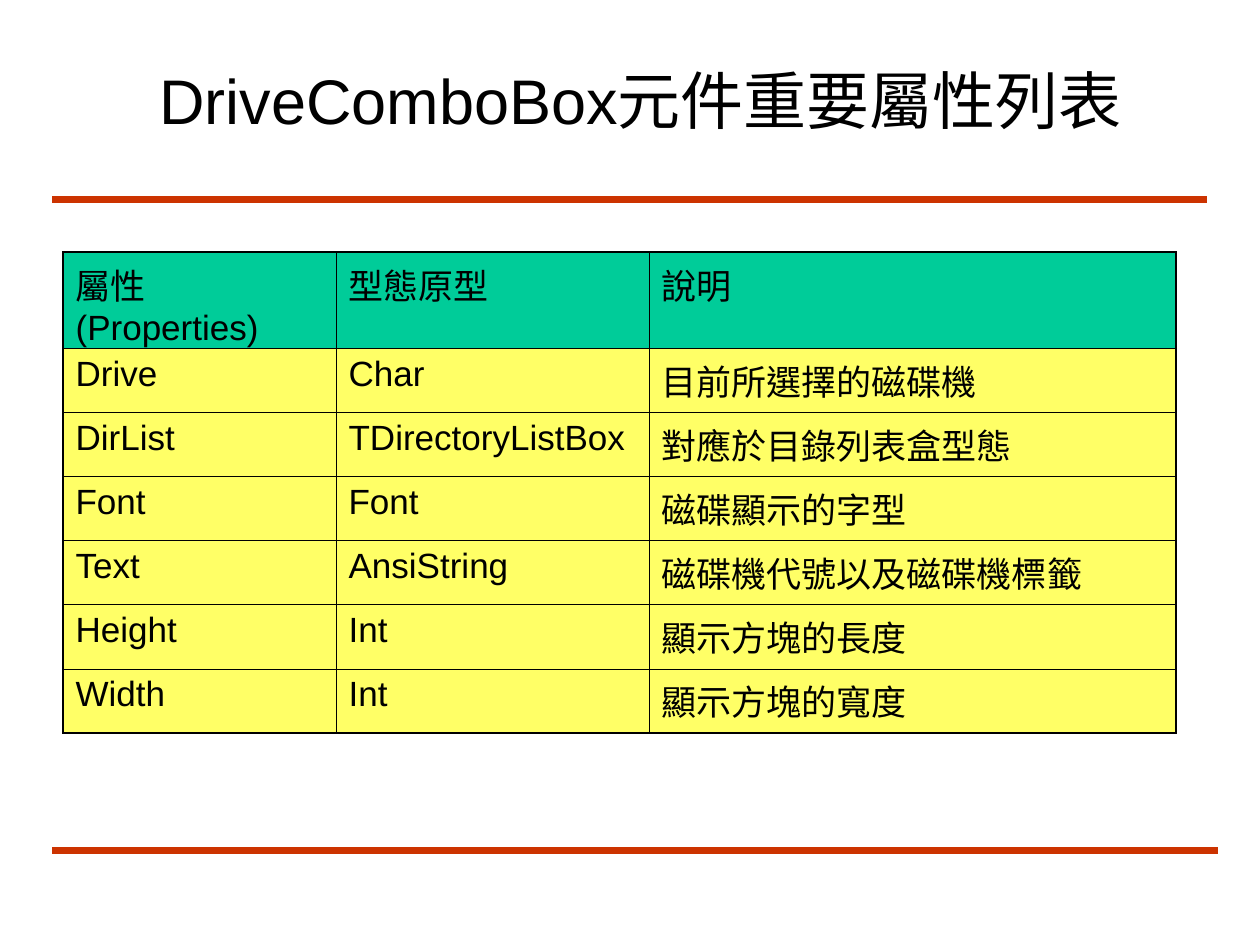
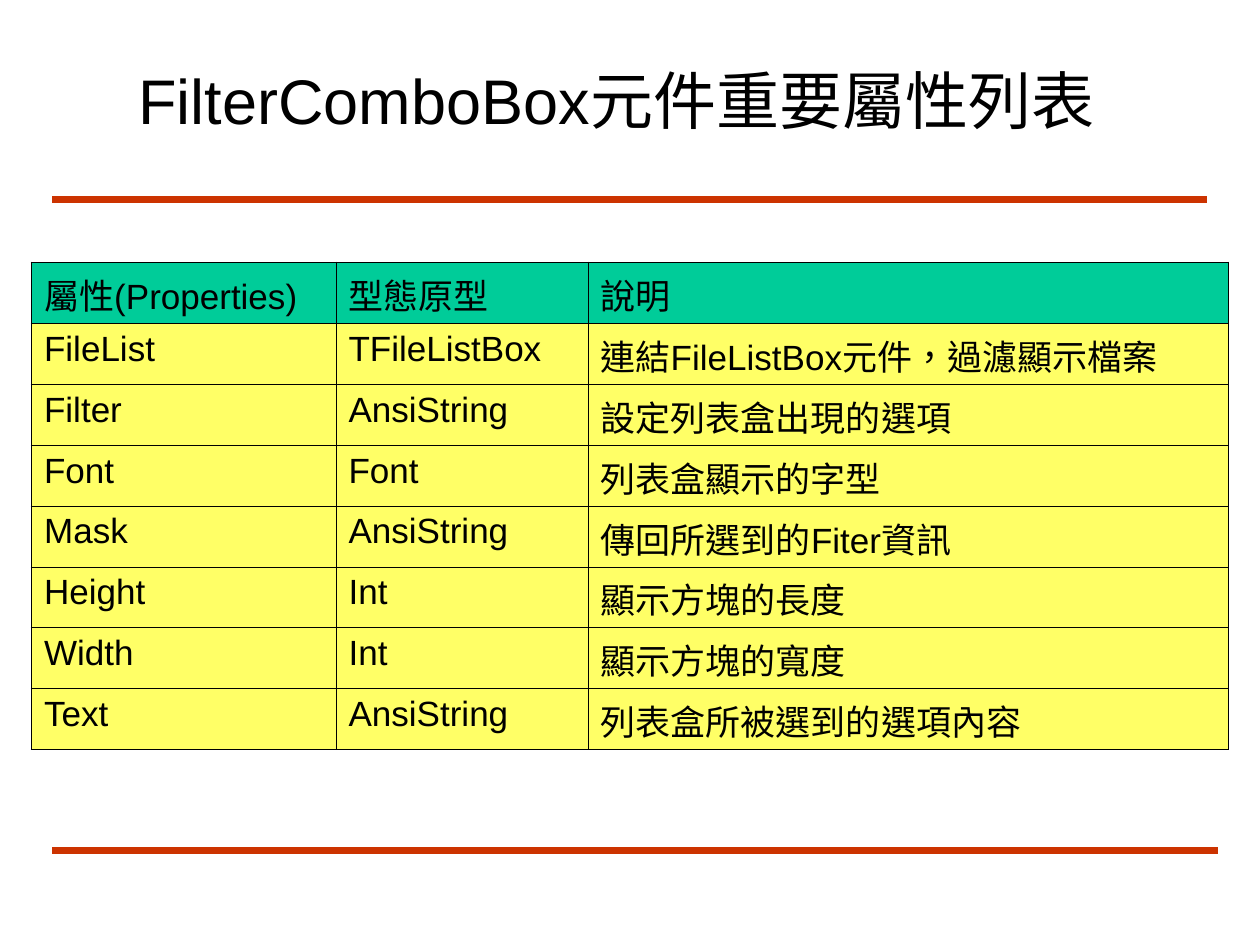
from dataclasses import dataclass

import lxml.etree
import pptx
import pptx.dml.color
import pptx.enum.lang
import pptx.enum.shapes
import pptx.enum.text
import pptx.oxml.ns
import pptx.util

EMU_PER_PX = 7620
FONT = "Arial"
BLACK = "000000"
RULE_RED = "CC3300"
HEADER_GREEN = "00CC99"
BODY_YELLOW = "FFFF66"
OUTER_BORDER = 1.08
INNER_BORDER = 0.45
HEADINGS = ("屬性(Properties)", "型態原型", "說明")


@dataclass(frozen=True)
class Rule:
    left: int
    right: int
    y: int


@dataclass(frozen=True)
class PropertySlide:
    title: str
    title_left: int
    table_left: int
    table_top: int
    column_widths: tuple[int, ...]
    header_height: int
    row_height: int
    properties: tuple[tuple[str, str, str], ...]


RULES = (Rule(50, 1150, 190), Rule(50, 1160, 810))
TITLE_TOP, TITLE_RIGHT, TITLE_HEIGHT = 40, 1110, 110

SLIDES = (
    PropertySlide(
        "DriveComboBox元件重要屬性列表", 140, 60, 240, (260, 298, 502), 92, 61,
        (
            ("Drive", "Char", "目前所選擇的磁碟機"),
            ("DirList", "TDirectoryListBox", "對應於目錄列表盒型態"),
            ("Font", "Font", "磁碟顯示的字型"),
            ("Text", "AnsiString", "磁碟機代號以及磁碟機標籤"),
            ("Height", "Int", "顯示方塊的長度"),
            ("Width", "Int", "顯示方塊的寬度"),
        ),
    ),
    PropertySlide(
        "FilterComboBox元件重要屬性列表", 120, 30, 250, (290, 240, 610), 58, 58,
        (
            ("FileList", "TFileListBox", "連結FileListBox元件，過濾顯示檔案"),
            ("Filter", "AnsiString", "設定列表盒出現的選項"),
            ("Font", "Font", "列表盒顯示的字型"),
            ("Mask", "AnsiString", "傳回所選到的Fiter資訊"),
            ("Height", "Int", "顯示方塊的長度"),
            ("Width", "Int", "顯示方塊的寬度"),
            ("Text", "AnsiString", "列表盒所被選到的選項內容"),
        ),
    ),
)


def px(length: int) -> pptx.util.Emu:
    return pptx.util.Emu(length * EMU_PER_PX)


def color(value: str) -> pptx.dml.color.RGBColor:
    return pptx.dml.color.RGBColor.from_string(value)


def write_text(text_frame, text: str, size: int) -> None:
    text_frame.text = text
    for run in text_frame.paragraphs[0].runs:
        run.font.name = FONT
        run.font.size = pptx.util.Pt(size)
        run.font.color.rgb = color(BLACK)
        run.font.language_id = pptx.enum.lang.MSO_LANGUAGE_ID.TRADITIONAL_CHINESE


def draw_rule(slide, rule: Rule) -> None:
    connector = slide.shapes.add_connector(
        pptx.enum.shapes.MSO_CONNECTOR.STRAIGHT,
        px(rule.left), px(rule.y), px(rule.right), px(rule.y),
    )
    connector.line.color.rgb = color(RULE_RED)
    connector.line.width = pptx.util.Pt(4.5)
    lxml.etree.SubElement(connector._element.spPr, pptx.oxml.ns.qn("a:effectLst"))


def draw_title(slide, content: PropertySlide) -> None:
    title = slide.shapes.add_textbox(
        px(content.title_left), px(TITLE_TOP),
        px(TITLE_RIGHT - content.title_left), px(TITLE_HEIGHT),
    )
    title.text_frame.word_wrap = True
    title.text_frame.vertical_anchor = pptx.enum.text.MSO_ANCHOR.MIDDLE
    write_text(title.text_frame, content.title, 36)


def add_border(cell, side: str, is_outer: bool) -> None:
    qn = pptx.oxml.ns.qn
    width = pptx.util.Pt(OUTER_BORDER if is_outer else INNER_BORDER)
    properties = cell._tc.get_or_add_tcPr()
    line = lxml.etree.SubElement(properties, qn(f"a:ln{side}"), w=str(width))
    fill = lxml.etree.SubElement(line, qn("a:solidFill"))
    lxml.etree.SubElement(fill, qn("a:srgbClr"), val=BLACK)


def draw_table(slide, content: PropertySlide) -> None:
    rows = (HEADINGS, *content.properties)
    heights = [content.header_height] + [content.row_height] * len(content.properties)
    table = slide.shapes.add_table(
        len(rows), len(HEADINGS), px(content.table_left), px(content.table_top),
        px(sum(content.column_widths)), px(sum(heights)),
    ).table
    table.first_row = False
    table.horz_banding = False
    for column, width in zip(table.columns, content.column_widths):
        column.width = px(width)
    last_row, last_column = len(rows) - 1, len(HEADINGS) - 1
    for row_index, (row, height) in enumerate(zip(rows, heights)):
        table.rows[row_index].height = px(height)
        for column_index, text in enumerate(row):
            cell = table.cell(row_index, column_index)
            write_text(cell.text_frame, text, 20)
            add_border(cell, "L", column_index == 0)
            add_border(cell, "R", column_index == last_column)
            add_border(cell, "T", row_index == 0)
            add_border(cell, "B", row_index == last_row)
            cell.fill.solid()
            cell.fill.fore_color.rgb = color(BODY_YELLOW if row_index else HEADER_GREEN)


def main() -> None:
    presentation = pptx.Presentation()
    presentation.slide_width = px(1200)
    presentation.slide_height = px(900)
    for content in SLIDES:
        slide = presentation.slides.add_slide(presentation.slide_layouts[6])
        for rule in RULES:
            draw_rule(slide, rule)
        draw_title(slide, content)
        draw_table(slide, content)
    presentation.save("out.pptx")


if __name__ == "__main__":
    main()
